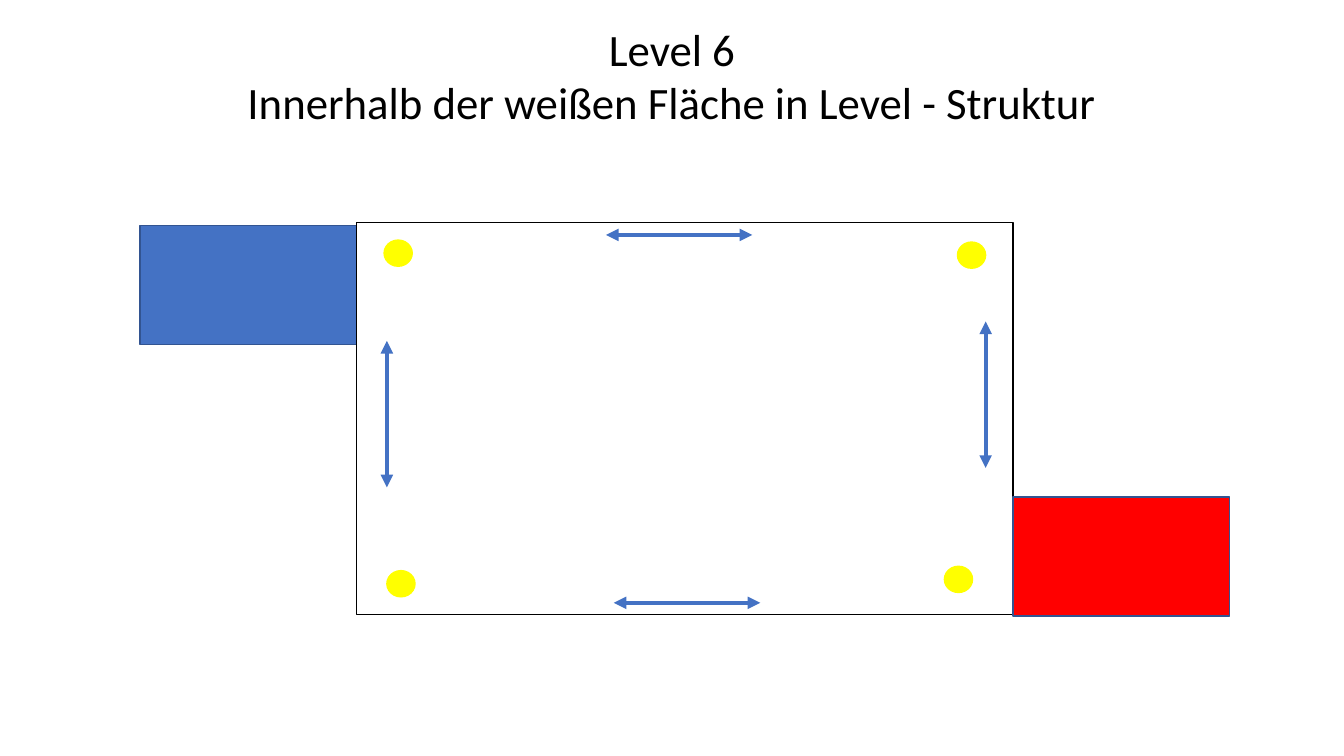
from lxml import etree
from pptx import Presentation
from pptx.dml.color import RGBColor
from pptx.enum.shapes import MSO_CONNECTOR as LINE, MSO_SHAPE as SHAPE
from pptx.enum.text import MSO_ANCHOR as ANCHOR, PP_ALIGN as ALIGN
from pptx.oxml.ns import qn
from pptx.util import Cm, Pt

BLUE = RGBColor(0x44, 0x72, 0xC4)
NAVY = RGBColor(0x32, 0x54, 0x91)
RED = RGBColor(0xFF, 0x00, 0x00)
YELLOW = RGBColor(0xFF, 0xFF, 0x00)
WHITE = RGBColor(0xFF, 0xFF, 0xFF)
BLACK = RGBColor(0x00, 0x00, 0x00)


def write(frame, lines, size=32, font="Calibri", color=BLACK, align=ALIGN.CENTER):
    frame.text = "\n".join(lines)
    for para in frame.paragraphs:
        para.alignment = align
        para.space_before = Pt(0)
        para.line_spacing = 1.0
        para.font.size = Pt(size)
        para.font.name = font
        para.font.color.rgb = color


def draw(kind, left, top, width, height, fill, edge):
    shape = slide.shapes.add_shape(kind, Cm(left), Cm(top), Cm(width), Cm(height))
    shape.shadow.inherit = False
    shape.fill.solid()
    shape.fill.fore_color.rgb = fill
    shape.line.color.rgb = edge
    shape.line.width = Pt(1)


deck = Presentation()
deck.slide_width, deck.slide_height = Cm(33.87), Cm(19.05)
slide = deck.slides.add_slide(deck.slide_layouts[5])

title = slide.shapes.title
title.left, title.top = Cm(0), Cm(0.41)
title.width, title.height = deck.slide_width, Cm(3)
title.text_frame.word_wrap = True
title.text_frame.vertical_anchor = ANCHOR.TOP
write(title.text_frame, ["Level 6", "Innerhalb der weißen Fläche in Level - Struktur"])

# Start zone, playing field and goal zone
draw(SHAPE.RECTANGLE, 3.53, 5.69, 5.46, 3, BLUE, NAVY)
draw(SHAPE.RECTANGLE, 8.99, 5.61, 16.54, 9.88, WHITE, BLACK)
draw(SHAPE.RECTANGLE, 25.53, 12.52, 5.46, 3, RED, NAVY)

# Coins in the corners
for left, top in [(9.75, 14.38), (23.8, 14.27), (9.68, 6.05), (24.13, 6.1)]:
    draw(SHAPE.OVAL, left, top, 0.71, 0.66, YELLOW, YELLOW)

# Double arrows along the four sides: start point and extent
SPAN = 3.69
for x, y, dx, dy in [
    (15.47, 15.19, SPAN, 0),
    (15.27, 5.92, SPAN, 0),
    (9.75, 8.59, 0, SPAN),
    (24.84, 8.1, 0, SPAN),
]:
    arrow = slide.shapes.add_connector(
        LINE.STRAIGHT, Cm(x), Cm(y), Cm(x + dx), Cm(y + dy))
    arrow.line.color.rgb = BLUE
    arrow.line.width = Pt(3)
    stroke = arrow.line._get_or_add_ln()
    for end in ("a:headEnd", "a:tailEnd"):
        etree.SubElement(stroke, qn(end), type="triangle")
    etree.SubElement(arrow._element.spPr, qn("a:effectLst"))

deck.save("out.pptx")
